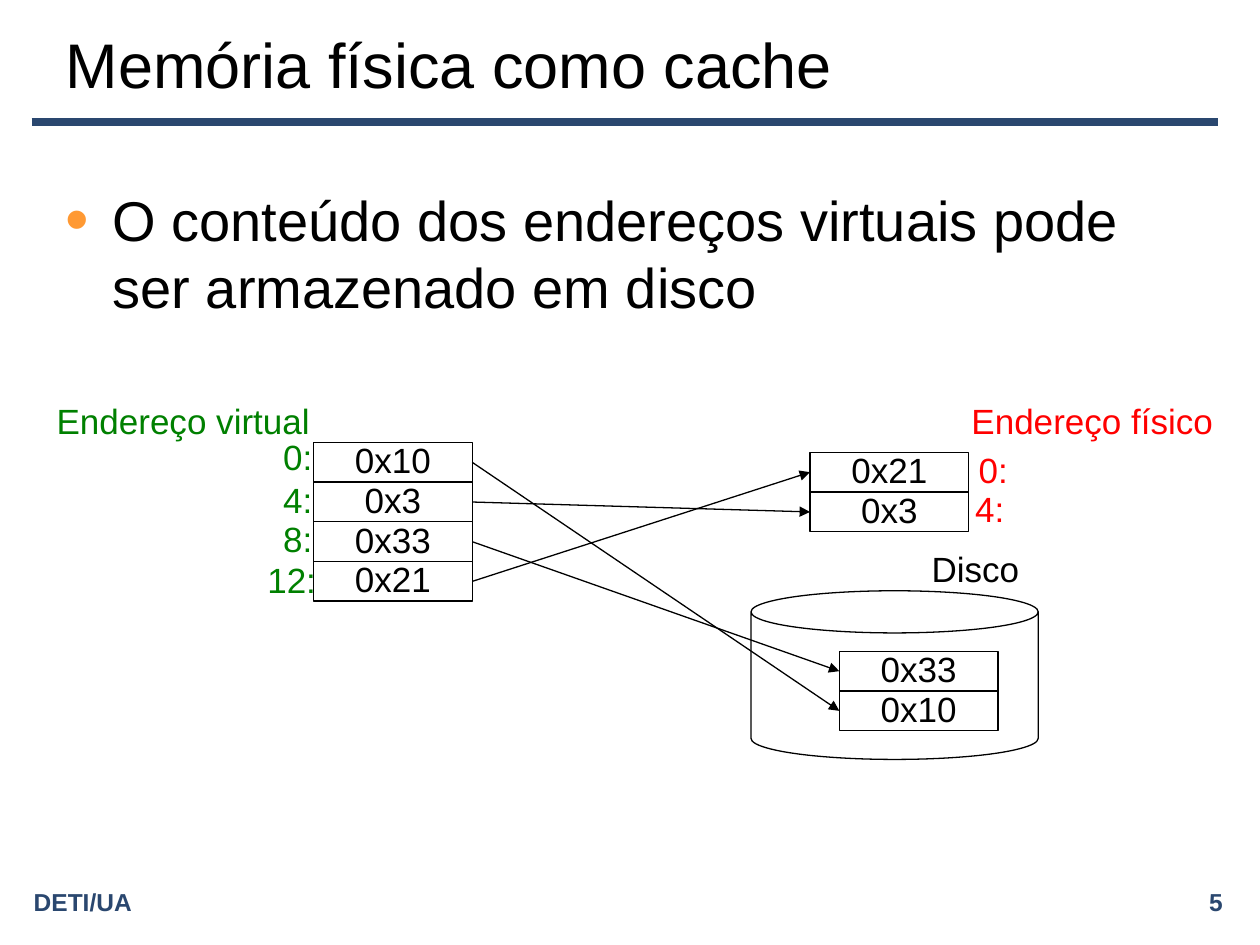
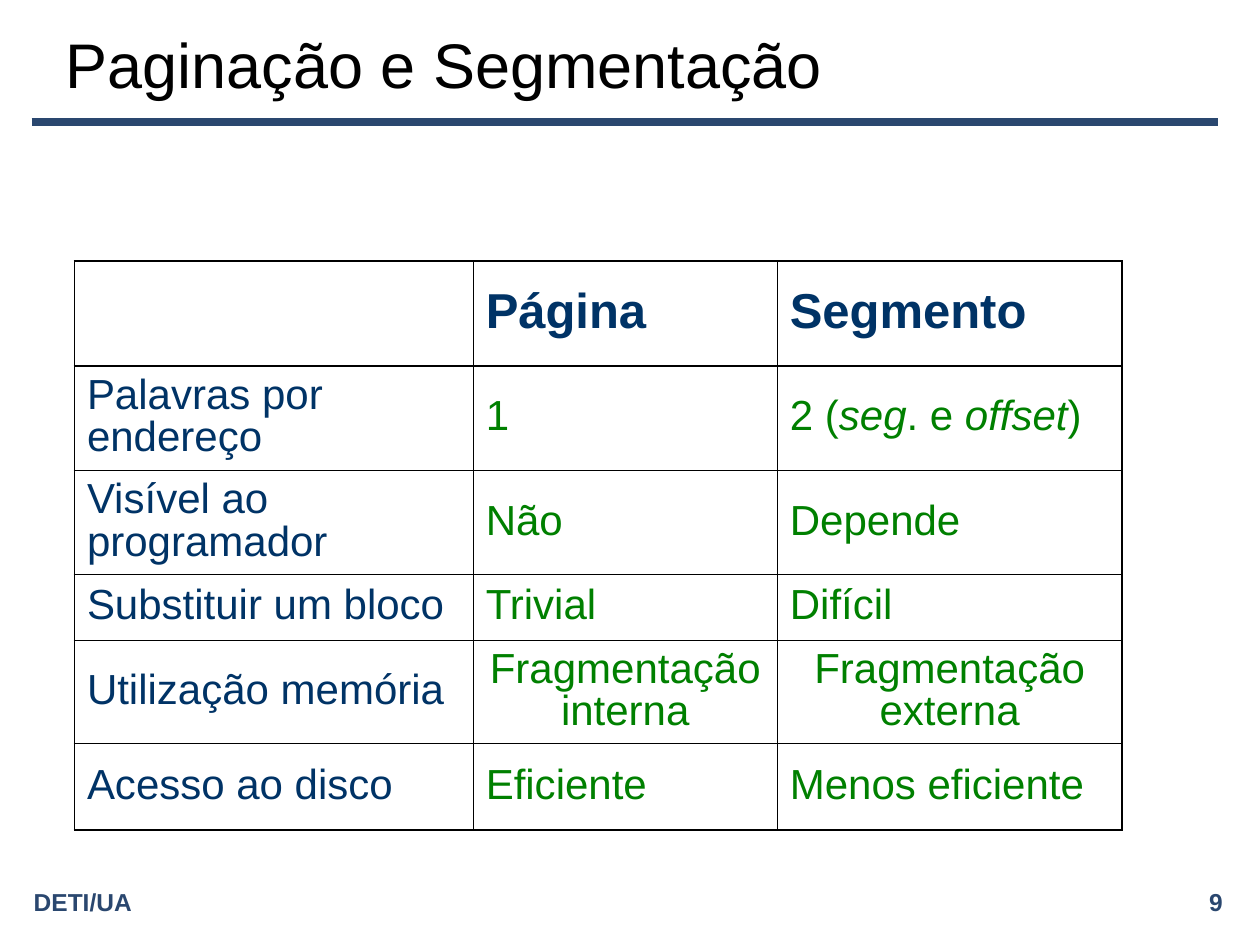
from lxml.etree import SubElement
from pptx import Presentation
from pptx.dml.color import RGBColor
from pptx.enum.shapes import MSO_CONNECTOR, MSO_SHAPE
from pptx.enum.text import MSO_ANCHOR, MSO_AUTO_SIZE, PP_ALIGN
from pptx.oxml.ns import qn
from pptx.util import Cm, Pt

COLORS = {
    "ink": "000000",
    "band": "2A476F",
    "bullet": "FF9933",
    "virtual": "008000",
    "physical": "FF0000",
    "heading": "003366",
    "answer": "008000",
}
FONT = "Arial"
TITLE_ONLY = 5
LEFT_SITE, RIGHT_SITE = 1, 3
WORD_WIDTH, WORD_HEIGHT = 3.2, 0.8
LABEL_HEIGHT = 1.19


def color(name):
    return RGBColor.from_string(COLORS[name])


class PageBuilder:
    """Holds the deck, its style and the page being filled; lengths are in centimetres."""

    def __init__(self):
        self.deck = Presentation()
        self.deck.slide_width, self.deck.slide_height = Cm(25.4), Cm(19.05)
        self.page = None

    def start_page(self, title, number):
        self.page = self.deck.slides.add_slide(self.deck.slide_layouts[TITLE_ONLY])
        self.line(0.64, 2.46, 24.56, 2.46, "band", 4.5)
        self.text("DETI/UA", 0.43, 17.78, 9.86, 0.79, 14, "band", bold=True,
                  anchor=MSO_ANCHOR.MIDDLE)
        self.text(str(number), 15.04, 17.78, 9.86, 0.79, 14, "band", bold=True,
                  align=PP_ALIGN.RIGHT, anchor=MSO_ANCHOR.MIDDLE)
        box = self.page.shapes.title
        box.left, box.top, box.width, box.height = Cm(1.07), Cm(0.43), Cm(22.22), Cm(1.7)
        box.text_frame.auto_size = MSO_AUTO_SIZE.NONE
        box.text_frame.vertical_anchor = MSO_ANCHOR.MIDDLE
        self.set_text(box.text_frame, title, 36, "ink")

    def set_text(self, frame, text, size, tint, align=PP_ALIGN.LEFT, bold=False, before=0):
        """Fill the first paragraph; words between asterisks become italic."""
        para = frame.paragraphs[0]
        para.alignment, para.space_before = align, Pt(before)
        para.font.name, para.font.size, para.font.bold = FONT, Pt(size), bold
        para.font.color.rgb = color(tint)
        for index, part in enumerate(text.split("*")):
            span = para.add_run()
            span.text = part
            if index % 2:
                span.font.italic = True
        return para

    def text(self, text, left, top, width, height, size, tint,
             anchor=MSO_ANCHOR.TOP, **style):
        box = self.page.shapes.add_textbox(Cm(left), Cm(top), Cm(width), Cm(height))
        box.text_frame.word_wrap = True
        box.text_frame.vertical_anchor = anchor
        return self.set_text(box.text_frame, text, size, tint, **style)

    def bullet(self, text, left, top, width, height):
        para = self.text(text, left, top, width, height, 32, "ink", before=8)
        properties = para._p.get_or_add_pPr()
        properties.set("marL", str(Cm(0.95)))
        properties.set("indent", str(Cm(-0.95)))
        # Bullet settings must precede the paragraph's default run properties.
        defaults = properties.find(qn("a:defRPr"))
        tint = SubElement(properties, qn("a:buClr"))
        SubElement(tint, qn("a:srgbClr"), val=COLORS["bullet"])
        SubElement(properties, qn("a:buSzPct"), val="120000")
        SubElement(properties, qn("a:buFont"), typeface=FONT)
        SubElement(properties, qn("a:buChar"), char="•")
        properties.append(defaults)

    def diagram_text(self, box, text, tint):
        frame = box.text_frame
        frame.word_wrap = False
        frame.margin_bottom = Cm(0.23)
        self.set_text(frame, text, 20, tint, align=PP_ALIGN.CENTER, before=5)

    def label(self, text, left, top, width, tint):
        box = self.page.shapes.add_textbox(Cm(left), Cm(top), Cm(width), Cm(LABEL_HEIGHT))
        self.diagram_text(box, text, tint)

    def outline(self, kind, left, top, width, height):
        box = self.page.shapes.add_shape(kind, Cm(left), Cm(top), Cm(width), Cm(height))
        box.shadow.inherit = False
        box.fill.background()
        box.line.color.rgb = color("ink")
        box.line.width = Pt(0.75)
        return box

    def memory(self, words, left, top):
        """Stack one box per word and return the boxes keyed by word."""
        boxes = {}
        for index, word in enumerate(words):
            box = self.outline(MSO_SHAPE.RECTANGLE, left, top + index * WORD_HEIGHT,
                               WORD_WIDTH, WORD_HEIGHT)
            box.text_frame.vertical_anchor = MSO_ANCHOR.MIDDLE
            self.diagram_text(box, word, "ink")
            boxes[word] = box
        return boxes

    def line(self, x1, y1, x2, y2, tint, width):
        line = self.page.shapes.add_connector(
            MSO_CONNECTOR.STRAIGHT, Cm(x1), Cm(y1), Cm(x2), Cm(y2))
        line.line.color.rgb = color(tint)
        line.line.width = Pt(width)
        SubElement(line._element.spPr, qn("a:effectLst"))
        return line

    def arrow(self, source, target):
        line = self.line(0, 0, 1, 1, "ink", 0.75)
        line.begin_connect(source, RIGHT_SITE)
        line.end_connect(target, LEFT_SITE)
        stroke = line._element.spPr.find(qn("a:ln"))
        SubElement(stroke, qn("a:tailEnd"), type="triangle")

    def table(self, rows, left, top, widths, heights):
        """Draw a grid with a heading row, a heading column and a thicker frame."""
        table = self.page.shapes.add_table(
            len(rows), len(widths), Cm(left), Cm(top),
            Cm(sum(widths)), Cm(sum(heights))).table
        table.first_row = table.horz_banding = False
        for column, width in zip(table.columns, widths):
            column.width = Cm(width)
        for r, (row, height) in enumerate(zip(rows, heights)):
            table.rows[r].height = Cm(height)
            for c, text in enumerate(row):
                cell = table.cell(r, c)
                thick = {"L": c == 0, "R": c == len(widths) - 1,
                         "T": r <= 1, "B": r in (0, len(rows) - 1)}
                self.borders(cell, thick)
                cell.fill.background()
                cell.vertical_anchor = MSO_ANCHOR.MIDDLE
                if text:
                    self.table_text(cell, text, r == 0, c == 0)

    def table_text(self, cell, text, in_head, in_first_column):
        centred = text.startswith("Fragmentação")
        para = self.set_text(
            cell.text_frame, text, 28 if in_head else 24,
            "heading" if in_head or in_first_column else "answer",
            align=PP_ALIGN.CENTER if centred else PP_ALIGN.LEFT,
            bold=in_head, before=3.5 if in_head else 3)
        para.line_spacing = 0.9
        para.space_after = Pt(8.8 if in_head else 7.5)

    def borders(self, cell, thick):
        properties = cell._tc.get_or_add_tcPr()
        for side, is_thick in thick.items():
            width = Pt(1.08 if is_thick else 0.45)
            edge = SubElement(properties, qn(f"a:ln{side}"), w=str(width))
            fill = SubElement(edge, qn("a:solidFill"))
            SubElement(fill, qn("a:srgbClr"), val=COLORS["ink"])


def build_cache_page(builder):
    builder.start_page("Memória física como cache", 5)
    builder.bullet("O conteúdo dos endereços virtuais pode ser armazenado em disco",
                   1.07, 3.61, 22.86, 12.57)

    virtual = builder.memory(["0x10", "0x3", "0x33", "0x21"], 6.32, 8.92)
    physical = builder.memory(["0x21", "0x3"], 16.33, 9.12)
    builder.outline(MSO_SHAPE.CAN, 15.14, 11.91, 5.79, 3.4)
    disk = builder.memory(["0x33", "0x10"], 16.92, 13.13)
    for word, target in {**physical, **disk}.items():
        builder.arrow(virtual[word], target)

    for text, left, top, width, tint in [
        ("Endereço virtual", 0.89, 7.92, 5.61, "virtual"),
        ("0:", 5.46, 8.66, 1.09, "virtual"),
        ("4:", 5.46, 9.53, 1.09, "virtual"),
        ("8:", 5.46, 10.31, 1.09, "virtual"),
        ("12:", 5.13, 11.13, 1.5, "virtual"),
        ("Endereço físico", 19.33, 7.92, 5.38, "physical"),
        ("0:", 19.48, 8.92, 1.09, "physical"),
        ("4:", 19.41, 9.7, 1.09, "physical"),
        ("Disco", 18.52, 10.92, 2.29, "ink"),
    ]:
        builder.label(text, left, top, width, tint)


def build_comparison_page(builder):
    builder.start_page("Paginação e Segmentação", 9)
    rows = [
        ("", "Página", "Segmento"),
        ("Palavras por endereço", "1", "2 (*seg*. e *offset*)"),
        ("Visível ao programador", "Não", "Depende"),
        ("Substituir um bloco", "Trivial", "Difícil"),
        ("Utilização memória", "Fragmentação interna", "Fragmentação externa"),
        ("Acesso ao disco", "Eficiente", "Menos eficiente"),
    ]
    builder.table(rows, 1.5, 5.26, [8.04, 6.13, 6.95],
                  [2.12, 2.1, 2.1, 1.32, 2.09, 1.74])


def main():
    builder = PageBuilder()
    build_cache_page(builder)
    build_comparison_page(builder)
    builder.deck.save("out.pptx")


if __name__ == "__main__":
    main()
